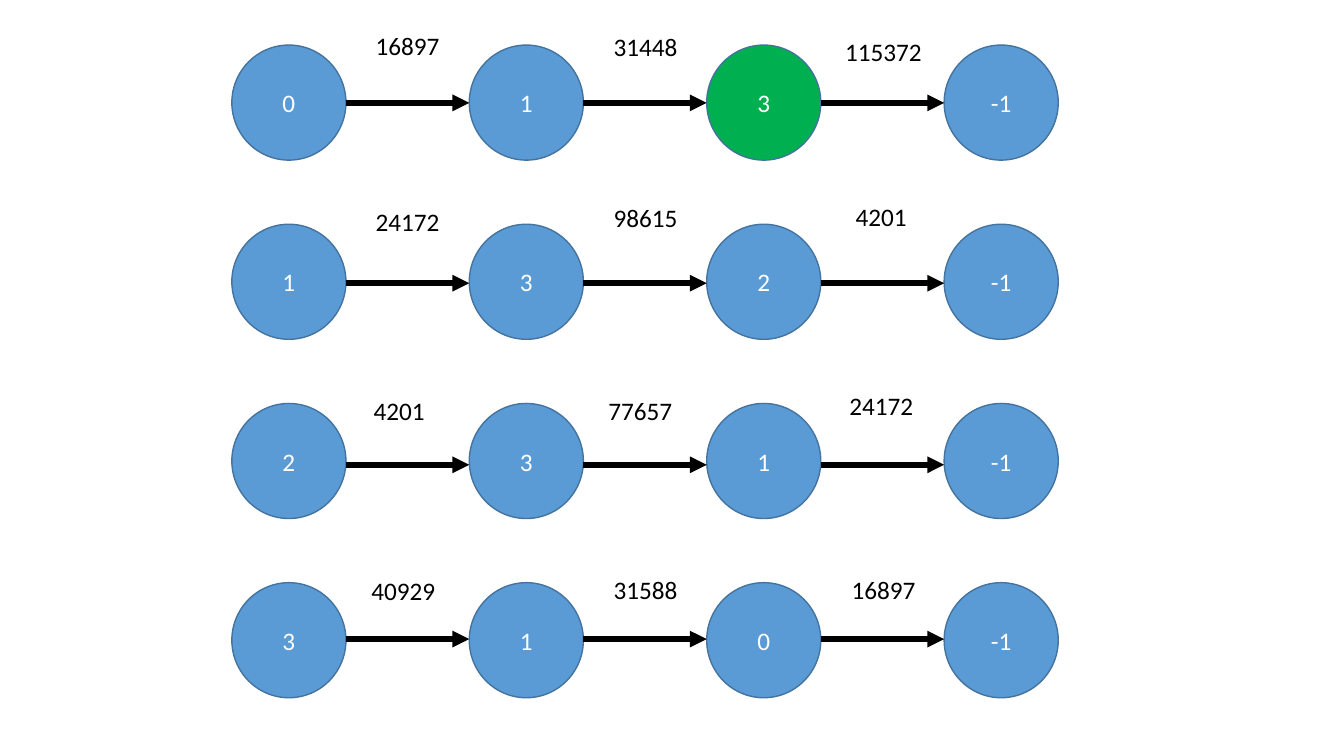
from pptx import Presentation
from pptx.dml.color import RGBColor
from pptx.enum.shapes import MSO_CONNECTOR, MSO_SHAPE
from pptx.enum.text import MSO_ANCHOR, MSO_AUTO_SIZE, PP_ALIGN
from pptx.oxml.ns import qn
from pptx.util import Pt
from lxml import etree

OVAL = MSO_SHAPE.OVAL
LINE = MSO_CONNECTOR.STRAIGHT
MIDDLE = MSO_ANCHOR.MIDDLE
GROW = MSO_AUTO_SIZE.SHAPE_TO_FIT_TEXT
CENTER = PP_ALIGN.CENTER

COLORS = {"node": "5B9BD5", "mark": "00B050", "edge": "43739E",
          "white": "FFFFFF", "black": "000000"}

# Grid of nodes, in points
LEFT, TOP = 165.6, 32.2
STEP_X, STEP_Y = 169.6, 128
WIDTH, HEIGHT = 81.5, 82.2
GAP = STEP_X - WIDTH

# Each chain: nodes, arrow height, and (weight, left, top) of each label
CHAINS = [
    (["0", "1", "3", "-1"], 73.5,
     [("16897", 247, 18), ("31448", 417, 18.5), ("115372", 587, 22.5)]),
    (["1", "3", "2", "-1"], 202.3,
     [("24172", 247, 144), ("98615", 417, 141), ("4201", 585.4, 140.4)]),
    (["2", "3", "1", "-1"], 332,
     [("4201", 241, 278.5), ("77657", 413.3, 278.5), ("24172", 585.4, 275)]),
    (["3", "1", "0", "-1"], 456.5,
     [("40929", 244, 407.5), ("31588", 417, 406.8), ("16897", 587, 406.8)]),
]
MARKED = (0, 2)


def color(name):
    return RGBColor.from_string(COLORS[name])


def write(shape, text, ink, frame):
    for key, value in frame.items():
        setattr(shape.text_frame, key, value)
    para = shape.text_frame.paragraphs[0]
    para.alignment = CENTER
    run = para.add_run()
    for key, value in {"text": text}.items():
        setattr(run, key, value)
    for key, value in {"size": Pt(18), "name": "Calibri"}.items():
        setattr(run.font, key, value)
    run.font.color.rgb = color(ink)


deck = Presentation()
deck.slide_width, deck.slide_height = Pt(960), Pt(540)
shapes = deck.slides.add_slide(deck.slide_layouts[6]).shapes

for row, (nodes, arrow_y, labels) in enumerate(CHAINS):
    # Nodes
    for col, text in enumerate(nodes):
        node = shapes.add_shape(OVAL, Pt(LEFT + col * STEP_X), Pt(TOP + row * STEP_Y),
                                Pt(WIDTH), Pt(HEIGHT))
        node.shadow.inherit = False
        node.fill.solid()
        node.fill.fore_color.rgb = color("mark" if (row, col) == MARKED else "node")
        node.line.color.rgb = color("edge")
        node.line.width = Pt(1)
        write(node, text, "white", {"vertical_anchor": MIDDLE, "word_wrap": True})

    # Arrows and their weights
    for col, (text, left, top) in enumerate(labels):
        start = LEFT + WIDTH + col * STEP_X
        arrow = shapes.add_connector(LINE, Pt(start), Pt(arrow_y),
                                     Pt(start + GAP), Pt(arrow_y))
        arrow.line.color.rgb = color("black")
        arrow.line.width = Pt(4)
        etree.SubElement(arrow.line._get_or_add_ln(), qn("a:tailEnd"), type="triangle")
        etree.SubElement(arrow._element.spPr, qn("a:effectLst"))

        label = shapes.add_textbox(Pt(left), Pt(top), Pt(GAP), Pt(29))
        write(label, text, "black", {"word_wrap": True, "auto_size": GROW})

deck.save("out.pptx")
